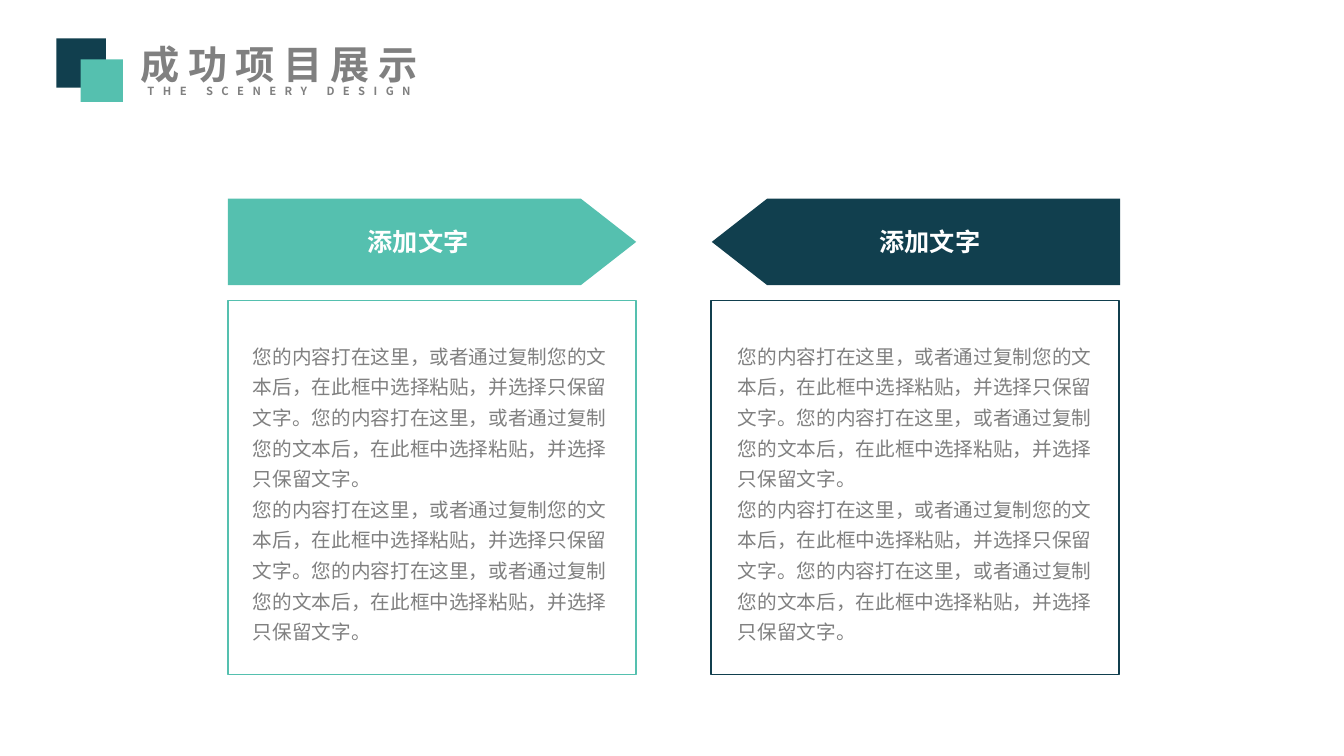
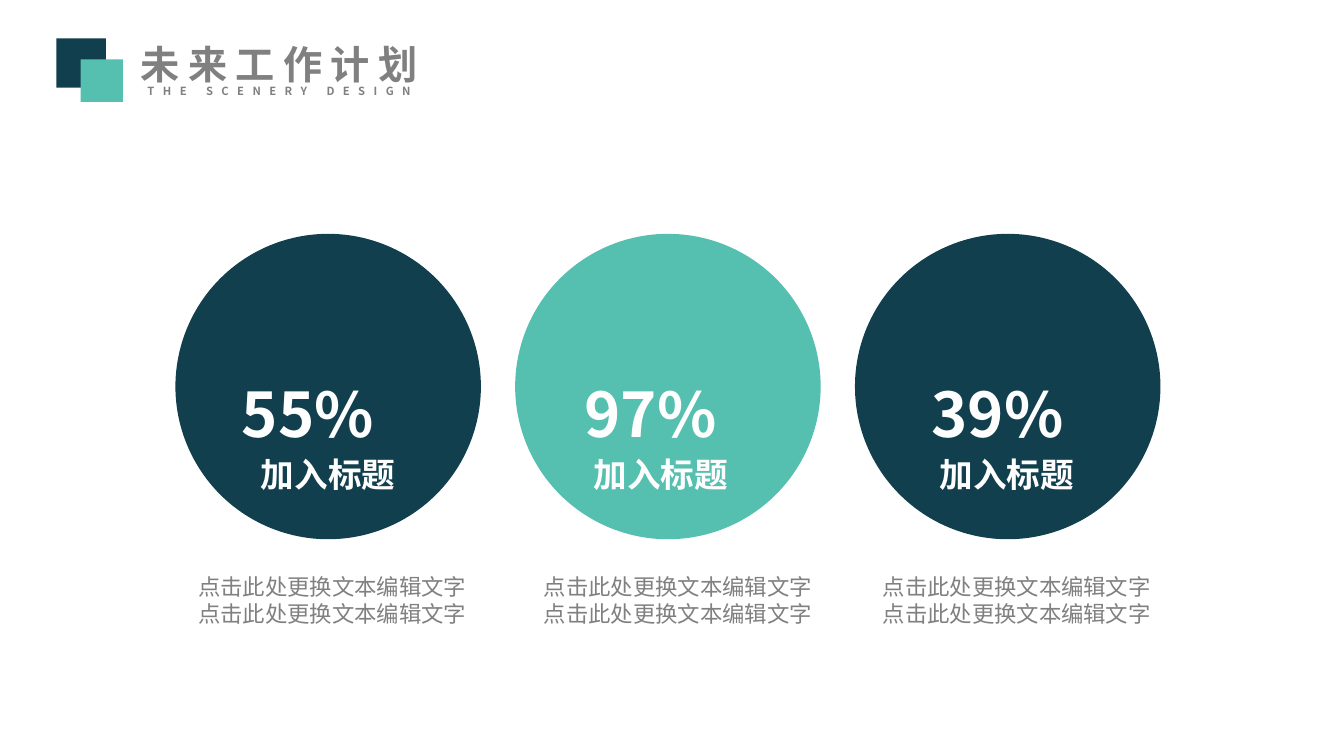
from lxml import etree
from pptx import Presentation
from pptx.dml.color import RGBColor
from pptx.enum.shapes import MSO_SHAPE
from pptx.enum.text import MSO_ANCHOR, MSO_AUTO_SIZE, PP_ALIGN
from pptx.oxml.ns import qn
from pptx.util import Inches, Pt

# Shared look
RECT, PLATE, OVAL = MSO_SHAPE.RECTANGLE, MSO_SHAPE.PENTAGON, MSO_SHAPE.OVAL
TOP, MIDDLE = MSO_ANCHOR.TOP, MSO_ANCHOR.MIDDLE
LEFT, CENTER = PP_ALIGN.LEFT, PP_ALIGN.CENTER
NAVY, TEAL, GRAY, WHITE, PALE = "113F4E", "55C0AF", "808080", "FFFFFF", "FEFEFE"
SANS, ALT = "Noto Sans CJK SC", "Noto Sans CJK JP"
hue = RGBColor.from_string


def draw(slide, kind, x, y, w, h, fill=None, line=None):
    """Add a flat shape with a fill, an outline or neither."""
    shape = slide.shapes.add_shape(kind, Inches(x), Inches(y), Inches(w), Inches(h))
    shape.shadow.inherit = False
    if fill:
        shape.fill.solid()
        shape.fill.fore_color.rgb = hue(fill)
    else:
        shape.fill.background()
    if line:
        shape.line.color.rgb = hue(line)
        shape.line.width = Pt(1)
    else:
        shape.line.fill.background()
    return shape


def write(shape, lines, size, color, font=SANS, bold=False, align=CENTER,
          anchor=MIDDLE, wrap=False, pitch=None):
    """Fill a shape with paragraphs in one style; pitch is points per line."""
    frame = shape.text_frame
    frame.text = "\n".join(lines)
    frame.auto_size = MSO_AUTO_SIZE.NONE
    frame.word_wrap = wrap
    frame.vertical_anchor = anchor
    for para in frame.paragraphs:
        para.alignment = align
        para.space_before = Pt(0)
        if pitch:
            para.line_spacing = Pt(pitch)
        for run in para.runs:
            run.font.name = font
            run.font.size = Pt(size)
            run.font.bold = bold
            run.font.color.rgb = hue(color)
            props = run.font._element
            etree.SubElement(props, qn("a:ea")).set("typeface", font)
    return frame


deck = Presentation()
deck.slide_width, deck.slide_height = Inches(13.33), Inches(7.5)

# Slides with title and corner squares
pages = []
for name in ("成功项目展示", "未来工作计划"):
    page = deck.slides.add_slide(deck.slide_layouts[5])
    title = page.shapes.title
    title.left, title.top = Inches(1.24), Inches(0.32)
    title.width, title.height = Inches(3.06), Inches(0.71)
    frame = write(title, [name, "THE SCENERY DESIGN"], 28, GRAY, bold=True,
                  anchor=TOP, pitch=36)
    for para in frame.paragraphs:
        para.runs[0].font._element.set("spc", "600")
    tag = frame.paragraphs[1]
    tag.line_spacing = Pt(7.2)
    tag.runs[0].font.size = Pt(8)
    draw(page, RECT, 0.56, 0.38, 0.49, 0.49, NAVY)
    draw(page, RECT, 0.8, 0.59, 0.42, 0.42, TEAL)
    pages.append(page)
show, plan = pages

# Two panels under facing arrows
half = "您的内容打在这里，或者通过复制您的文本后，在此框中选择粘贴，并选择只保留文字。"
for x, tip, body, color, flip in ((2.26, 2.26, 2.41, TEAL, False),
                                  (7.05, 7.06, 7.22, NAVY, True)):
    draw(show, RECT, x, 2.98, 4.05, 3.71, line=color)
    plate = draw(show, PLATE, tip, 1.97, 4.05, 0.86, color)
    plate.adjustments[0] = 0.64
    if flip:
        plate._element.spPr.find(qn("a:xfrm")).set("flipH", "1")
    write(plate, ["添加文字"], 18, WHITE, bold=True)
    box = show.shapes.add_textbox(Inches(body), Inches(3.3), Inches(3.89), Inches(3.13))
    write(box, [half * 2] * 2, 14, GRAY, align=LEFT, anchor=TOP, wrap=True, pitch=21.85)

# Three circles: share, label and caption each
goals = (("55%", NAVY, 2.3, 2.49, 1.85),
         ("97%", TEAL, 5.7, 5.79, 5.28),
         ("39%", NAVY, 9.14, 9.22, 8.64))
for i, (share, color, num, label, note) in enumerate(goals):
    draw(plan, OVAL, 1.74 + i * 3.37, 2.32, 3.03, 3.03, color)
    box = plan.shapes.add_textbox(Inches(num), Inches(3.68), Inches(1.67), Inches(0.84))
    write(box, [share], 44, PALE, ALT, bold=True, align=LEFT)
    box = plan.shapes.add_textbox(Inches(label), Inches(4.45), Inches(1.56), Inches(0.5))
    write(box, ["加入标题"], 24, PALE, ALT, bold=True, align=LEFT)
    box = plan.shapes.add_textbox(Inches(note), Inches(5.65), Inches(2.89), Inches(0.64))
    write(box, ["点击此处更换文本编辑文字"] * 2, 16, GRAY, anchor=TOP, pitch=18.6)

deck.save("out.pptx")
